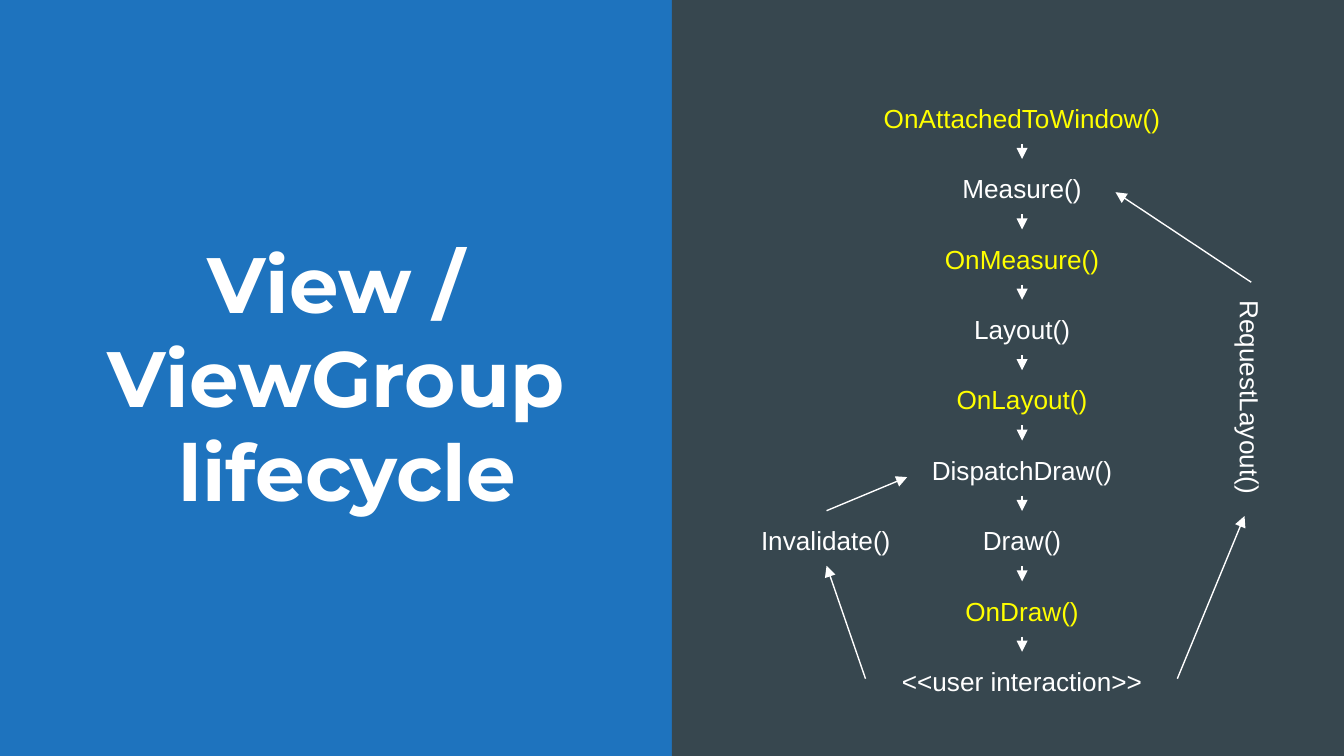
"""Build the View / ViewGroup lifecycle slide."""
from lxml import etree
from pptx import Presentation
from pptx.dml.color import RGBColor
from pptx.enum.shapes import MSO_CONNECTOR, MSO_SHAPE
from pptx.enum.text import MSO_ANCHOR, MSO_AUTO_SIZE, PP_ALIGN
from pptx.oxml.ns import qn
from pptx.util import Inches, Pt

STRAIGHT = MSO_CONNECTOR.STRAIGHT
RECTANGLE = MSO_SHAPE.RECTANGLE
TOP, BOTTOM = MSO_ANCHOR.TOP, MSO_ANCHOR.BOTTOM
NO_AUTOFIT = MSO_AUTO_SIZE.NONE
CENTER = PP_ALIGN.CENTER

BLUE = RGBColor(0x1E, 0x73, 0xBE)
SLATE = RGBColor(0x37, 0x47, 0x4F)
WHITE = RGBColor(0xFF, 0xFF, 0xFF)
YELLOW = RGBColor(0xFF, 0xFF, 0x00)

TITLE = ["View / ViewGroup", " lifecycle"]
STEPS = [
    ("OnAttachedToWindow()", YELLOW),
    ("Measure()", WHITE),
    ("OnMeasure()", YELLOW),
    ("Layout()", WHITE),
    ("OnLayout()", YELLOW),
    ("DispatchDraw()", WHITE),
    ("Draw()", WHITE),
    ("OnDraw()", YELLOW),
    ("<<user interaction>>", WHITE),
]
SIDE_CALLS = [
    ("Invalidate()", 4.98, 3.8, 0),
    ("RequestLayout()", 8.15, 2.75, 90),
]
SIDE_ARROWS = [
    ((6.44, 5.05), (6.15, 4.21)),
    ((6.15, 3.8), (6.75, 3.55)),
    ((8.76, 5.05), (9.26, 3.84)),
    ((9.31, 2.1), (8.3, 1.43)),
]

SLIDE_WIDTH = 10
SLIDE_HEIGHT = SLIDE_WIDTH * 9 / 16
STEP_LEFT, FIRST_TOP, LAST_TOP = 6.44, 0.66, 4.85
STEP_PITCH = (LAST_TOP - FIRST_TOP) / (len(STEPS) - 1)
LABEL_WIDTH, LABEL_HEIGHT = 2.33, 0.41
TITLE_FONT = {"name": "Montserrat", "size": Pt(42), "bold": True}
LABEL_FONT = {"name": "Arial", "size": Pt(14), "bold": False}
FRAME_FORMAT = {
    "word_wrap": True,
    "auto_size": NO_AUTOFIT,
    **{f"margin_{side}": Inches(0.1) for side in ("left", "top", "right", "bottom")},
}


def write_text(shape, lines, font_format, color, anchor):
    frame = shape.text_frame
    for name, value in FRAME_FORMAT.items():
        setattr(frame, name, value)
    frame.vertical_anchor = anchor
    frame.text = "\n".join(lines)
    for paragraph in frame.paragraphs:
        paragraph.alignment = CENTER
        font = paragraph.runs[0].font
        for name, value in font_format.items():
            setattr(font, name, value)
        font.color.rgb = color


def add_label(slide, text, left, top, color=WHITE, rotation=0):
    box = [Inches(value) for value in (left, top, LABEL_WIDTH, LABEL_HEIGHT)]
    shape = slide.shapes.add_textbox(*box)
    shape.rotation = rotation
    write_text(shape, [text], LABEL_FONT, color, TOP)


def add_arrow(slide, start, end):
    points = [Inches(value) for value in (*start, *end)]
    connector = slide.shapes.add_connector(STRAIGHT, *points)
    connector.line.color.rgb = WHITE
    connector.line.width = Pt(0.75)
    line = connector.line._get_or_add_ln()
    etree.SubElement(line, qn("a:tailEnd"), type="triangle", w="med", len="med")
    etree.SubElement(connector._element.spPr, qn("a:effectLst"))


def main():
    presentation = Presentation()
    presentation.slide_width = Inches(SLIDE_WIDTH)
    presentation.slide_height = Inches(SLIDE_HEIGHT)
    slide = presentation.slides.add_slide(presentation.slide_layouts[5])
    slide.background.fill.solid()
    slide.background.fill.fore_color.rgb = BLUE

    half = Inches(SLIDE_WIDTH / 2)
    panel = slide.shapes.add_shape(RECTANGLE, half, 0, half, presentation.slide_height)
    panel.shadow.inherit = False
    panel.fill.solid()
    panel.fill.fore_color.rgb = SLATE
    panel.line.fill.background()

    title = slide.shapes.title
    title.left, title.top = Inches(0.29), Inches(1.18)
    title.width, title.height = Inches(4.42), Inches(2.77)
    write_text(title, TITLE, TITLE_FONT, WHITE, BOTTOM)

    center = STEP_LEFT + LABEL_WIDTH / 2
    for index, (text, color) in enumerate(STEPS):
        top = FIRST_TOP + index * STEP_PITCH
        add_label(slide, text, STEP_LEFT, top, color)
        if index:
            previous_bottom = top - STEP_PITCH + LABEL_HEIGHT
            add_arrow(slide, (center, previous_bottom), (center, top))

    for text, left, top, rotation in SIDE_CALLS:
        add_label(slide, text, left, top, rotation=rotation)
    for start, end in SIDE_ARROWS:
        add_arrow(slide, start, end)

    presentation.save("out.pptx")


if __name__ == "__main__":
    main()
